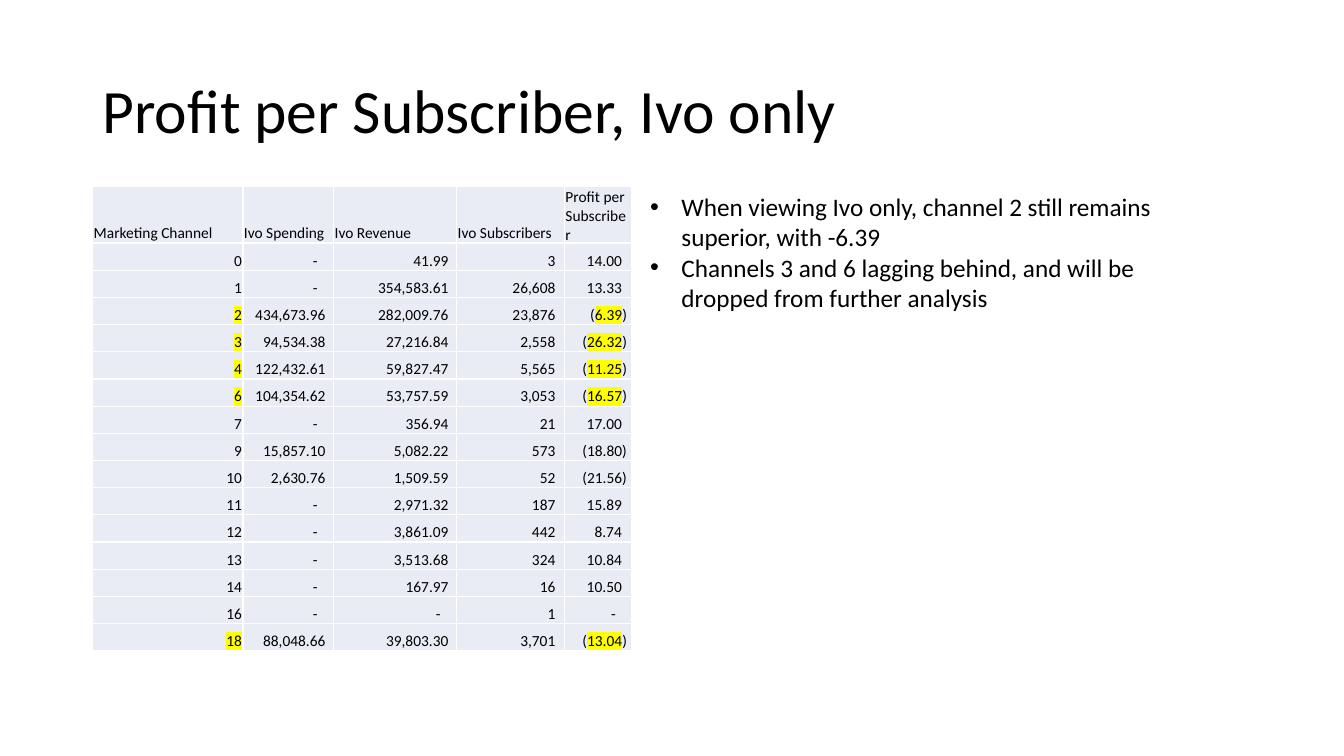
from dataclasses import dataclass

from lxml import etree
from pptx import Presentation
from pptx.dml.color import RGBColor
from pptx.enum.text import MSO_ANCHOR, PP_ALIGN
from pptx.oxml.ns import qn
from pptx.util import Inches, Pt

LEFT, RIGHT = PP_ALIGN.LEFT, PP_ALIGN.RIGHT
TOP, MIDDLE, BOTTOM = MSO_ANCHOR.TOP, MSO_ANCHOR.MIDDLE, MSO_ANCHOR.BOTTOM

HEADERS = ["Marketing Channel", "Ivo Spending", "Ivo Revenue",
           "Ivo Subscribers", "Profit per Subscriber"]
CHANNELS = [
    ("0", "-", "41.99", "3", "14.00"),
    ("1", "-", "354,583.61", "26,608", "13.33"),
    ("2", "434,673.96", "282,009.76", "23,876", "(6.39)"),
    ("3", "94,534.38", "27,216.84", "2,558", "(26.32)"),
    ("4", "122,432.61", "59,827.47", "5,565", "(11.25)"),
    ("6", "104,354.62", "53,757.59", "3,053", "(16.57)"),
    ("7", "-", "356.94", "21", "17.00"),
    ("9", "15,857.10", "5,082.22", "573", "(18.80)"),
    ("10", "2,630.76", "1,509.59", "52", "(21.56)"),
    ("11", "-", "2,971.32", "187", "15.89"),
    ("12", "-", "3,861.09", "442", "8.74"),
    ("13", "-", "3,513.68", "324", "10.84"),
    ("14", "-", "167.97", "16", "10.50"),
    ("16", "-", "-", "1", "-"),
    ("18", "88,048.66", "39,803.30", "3,701", "(13.04)"),
]
MARKED = {"2", "3", "4", "6", "18"}
POINTS = [
    "When viewing Ivo only, channel 2 still remains superior, with -6.39",
    "Channels 3 and 6 lagging behind, and will be dropped from further analysis",
]
COL_WIDTHS = [1.49, 0.9, 1.22, 1.07, 0.67]
HEADER_HEIGHT, ROW_HEIGHT = 0.5, 0.27
NUMBER_MARGINS = [0.01, 0.08, 0.08, 0.09, 0.1]
DASH_MARGIN, BRACKET_MARGIN, CELL_MARGIN = 0.16, 0.05, 0.01


@dataclass
class Theme:
    font: str = "Calibri"
    text: str = "000000"
    cell: str = "E9EBF5"
    border: str = "FFFFFF"
    marker: str = "FFFF00"
    title_size: int = 44
    body_size: int = 18
    table_size: int = 11


class Deck:
    """Holds the theme and the current slide; boxes are given in percent of the slide."""

    def __init__(self, theme):
        self.theme = theme
        self.prs = Presentation()
        self.prs.slide_width, self.prs.slide_height = Inches(13.33), Inches(7.5)
        self.s = self.prs.slides.add_slide(self.prs.slide_layouts[6])

    def box(self, x, y, w, h):
        width, height = self.prs.slide_width, self.prs.slide_height
        return [int(share * side / 100) for share, side in
                zip((x, y, w, h), (width, height, width, height))]

    def run(self, p, text, size, marked=False):
        r = p.add_run()
        r.text = text
        r.font.size, r.font.name = Pt(size), self.theme.font
        r.font.color.rgb = RGBColor.from_string(self.theme.text)
        if marked:
            highlight = etree.Element(qn("a:highlight"))
            etree.SubElement(highlight, qn("a:srgbClr"), val=self.theme.marker)
            r.font._element.find(qn("a:solidFill")).addnext(highlight)

    def text_frame(self, box, anchor):
        tf = self.s.shapes.add_textbox(*self.box(*box)).text_frame
        tf.word_wrap, tf.vertical_anchor = True, anchor
        return tf

    def title(self, text, box):
        p = self.text_frame(box, MIDDLE).paragraphs[0]
        p.line_spacing = 0.9
        self.run(p, text, self.theme.title_size)

    def bullets(self, points, box):
        tf = self.text_frame(box, TOP)
        for i, point in enumerate(points):
            p = tf.add_paragraph() if i else tf.paragraphs[0]
            pPr = p._p.get_or_add_pPr()
            pPr.set("marL", str(Inches(0.31)))
            pPr.set("indent", str(-Inches(0.31)))
            etree.SubElement(pPr, qn("a:buFont"), typeface="Arial")
            etree.SubElement(pPr, qn("a:buChar"), char="•")
            self.run(p, point, self.theme.body_size)

    def cell(self, cell, parts, align=LEFT, right=CELL_MARGIN):
        """Fills one table cell from (text, marked) parts."""
        tcPr = cell._tc.get_or_add_tcPr()
        for side in ("lnL", "lnR", "lnT", "lnB"):
            ln = etree.SubElement(tcPr, qn(f"a:{side}"), w=str(Pt(1)))
            fill = etree.SubElement(ln, qn("a:solidFill"))
            etree.SubElement(fill, qn("a:srgbClr"), val=self.theme.border)
        cell.fill.solid()
        cell.fill.fore_color.rgb = RGBColor.from_string(self.theme.cell)
        cell.margin_left = cell.margin_top = Inches(CELL_MARGIN)
        cell.margin_right, cell.margin_bottom = Inches(right), 0
        cell.vertical_anchor = BOTTOM
        p = cell.text_frame.paragraphs[0]
        p.alignment = align
        for text, marked in parts:
            self.run(p, text, self.theme.table_size, marked)

    def table(self, headers, rows, box):
        table = self.s.shapes.add_table(
            len(rows) + 1, len(headers), *self.box(*box)).table
        table.first_row = table.horz_banding = False
        for column, width in zip(table.columns, COL_WIDTHS):
            column.width = Inches(width)
        for i, row in enumerate(table.rows):
            row.height = Inches(ROW_HEIGHT if i else HEADER_HEIGHT)
        for col, header in enumerate(headers):
            self.cell(table.cell(0, col), [(header, False)])
        for i, values in enumerate(rows, 1):
            for col, value in enumerate(values):
                marked = values[0] in MARKED
                self.cell(table.cell(i, col), value_parts(value, col, marked),
                          RIGHT, value_margin(value, col))


def value_parts(value, col, marked):
    """Marks the channel number and the digits inside a bracketed loss."""
    if marked and value.startswith("("):
        return [("(", False), (value[1:-1], True), (")", False)]
    return [(value, marked and col == 0)]


def value_margin(value, col):
    if value == "-":
        return DASH_MARGIN
    return BRACKET_MARGIN if value.startswith("(") else NUMBER_MARGINS[col]


def main():
    deck = Deck(Theme())
    deck.title("Profit per Subscriber, Ivo only", (6.9, 5.33, 86.27, 19.33))
    deck.table(HEADERS, CHANNELS, (6.9, 24.67, 40.14, 60.67))
    deck.bullets(POINTS, (47.64, 24.67, 40.14, 17.47))
    deck.prs.save("out.pptx")


if __name__ == "__main__":
    main()
